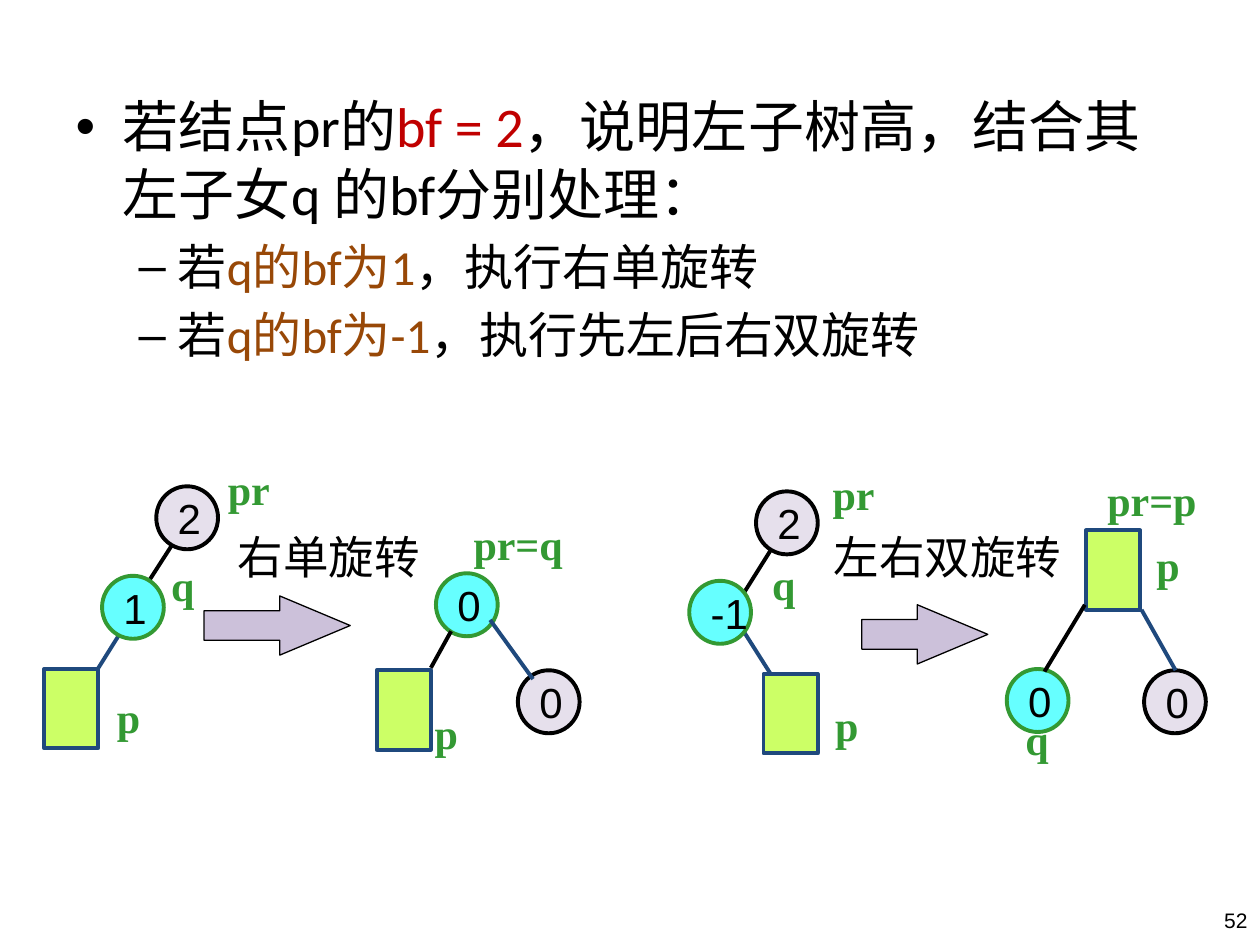
from pptx import Presentation
from pptx.dml.color import RGBColor
from pptx.enum.shapes import MSO_CONNECTOR, MSO_SHAPE
from pptx.enum.text import MSO_ANCHOR, PP_ALIGN
from pptx.oxml.ns import qn
from pptx.util import Inches, Pt
from lxml import etree

BLACK = RGBColor(0x00, 0x00, 0x00)
RED = RGBColor(0xC0, 0x00, 0x00)
BROWN = RGBColor(0x98, 0x48, 0x07)
NAVY = RGBColor(0x1F, 0x49, 0x7D)
GREEN = RGBColor(0x33, 0x99, 0x33)
CYAN = RGBColor(0x66, 0xFF, 0xFF)
LIME = RGBColor(0xCC, 0xFF, 0x66)
LAVENDER = RGBColor(0xE6, 0xE0, 0xEC)
PURPLE = RGBColor(0xCC, 0xC1, 0xDA)

prs = Presentation()
prs.slide_width, prs.slide_height = Inches(10), Inches(7.5)
s = prs.slides.add_slide(prs.slide_layouts[1])
title = s.shapes.title
title.element.getparent().remove(title.element)


def add_shape(kind, x, y, w, h, fill, line, weight=2.25):
    sp = s.shapes.add_shape(kind, Inches(x), Inches(y), Inches(w), Inches(h))
    sp.shadow.inherit = False
    sp.fill.solid()
    sp.fill.fore_color.rgb = fill
    sp.line.color.rgb = line
    sp.line.width = Pt(weight)
    return sp


def set_text(sp, text, size, font, color, bold=False, align=PP_ALIGN.LEFT):
    tf = sp.text_frame
    tf.word_wrap = False
    p = tf.paragraphs[0]
    p.text = text
    p.alignment = align
    p.font.size = Pt(size)
    p.font.name = font
    p.font.bold = bold
    p.font.color.rgb = color


body = s.placeholders[1]
body.left, body.top = Inches(0.5), Inches(0.68)
body.width, body.height = Inches(9), Inches(6.82)
tf = body.text_frame
paragraphs = [
    (0, 32, RED, ["若结点pr的", "bf = 2", "，说明左子树高，结合其左子女q 的bf分别处理："]),
    (1, 28, BROWN, ["若", "q的bf为1", "，执行右单旋转"]),
    (1, 28, BROWN, ["若", "q的bf为-1", "，执行先左后右双旋转"]),
]
for i, (level, size, accent, parts) in enumerate(paragraphs):
    p = tf.paragraphs[0] if i == 0 else tf.add_paragraph()
    p.level = level
    p.font.size = Pt(size)
    p.font.name = "Calibri"
    for part, color in zip(parts, (BLACK, accent, BLACK)):
        r = p.add_run()
        r.text = part
        r.font.color.rgb = color

number = s.shapes.add_textbox(Inches(9.57), Inches(7.1), Inches(0.43), Inches(0.4))
set_text(number, "52", 12, "Arial", BLACK, align=PP_ALIGN.RIGHT)
number.text_frame.word_wrap = True
number.text_frame.vertical_anchor = MSO_ANCHOR.MIDDLE

trees = [
    {
        "edges": [(1.02, 4.92, 0.65, 5.51, NAVY), (1.44, 4.21, 1.06, 4.8, BLACK)],
        "nodes": [("2", 1.24, 3.86), ("1", 0.81, 4.57)],
        "box": (0.35, 5.31),
        "labels": [("q", 1.26, 4.39), ("pr", 1.71, 3.63), ("p", 0.83, 5.44)],
        "edges_on_top": False,
    },
    {
        "edges": [(5.87, 4.96, 6.25, 5.56, NAVY), (6.19, 4.25, 5.82, 4.84, BLACK)],
        "nodes": [("2", 6, 3.9), ("-1", 5.47, 4.61)],
        "box": (6.06, 5.35),
        "labels": [("q", 6.03, 4.38), ("pr", 6.51, 3.67), ("p", 6.53, 5.5)],
        "edges_on_top": False,
    },
    {
        "edges": [(8.61, 4.8, 8.29, 5.33, BLACK), (9.06, 4.84, 9.33, 5.32, NAVY)],
        "nodes": [("0", 9.08, 5.32), ("0", 7.99, 5.31)],
        "box": (8.62, 4.21),
        "labels": [("p", 9.08, 4.23), ("q", 8.04, 5.61), ("pr=p", 8.69, 3.72)],
        "edges_on_top": True,
    },
    {
        "edges": [(3.58, 5.01, 3.42, 5.3, BLACK), (3.89, 4.92, 4.23, 5.39, NAVY)],
        "nodes": [("0", 4.11, 5.32), ("0", 3.46, 4.55)],
        "box": (2.99, 5.32),
        "labels": [("p", 3.35, 5.57), ("pr=q", 3.66, 4.07)],
        "edges_on_top": True,
    },
]
label_widths = {1: 0.39, 2: 0.53, 4: 0.92}
node_colors = [(LAVENDER, BLACK), (CYAN, GREEN)]

for tree in trees:
    layers = ["edges", "nodes"]
    if tree["edges_on_top"]:
        layers.reverse()
    for layer in layers:
        if layer == "edges":
            for x1, y1, x2, y2, color in tree["edges"]:
                edge = s.shapes.add_connector(
                    MSO_CONNECTOR.STRAIGHT,
                    Inches(x1), Inches(y1), Inches(x2), Inches(y2))
                edge.line.color.rgb = color
                edge.line.width = Pt(2.25)
                etree.SubElement(edge.element.spPr, qn("a:effectLst"))
        else:
            for (text, x, y), (fill, line) in zip(tree["nodes"], node_colors):
                node = add_shape(MSO_SHAPE.OVAL, x, y, 0.49, 0.5, fill, line)
                set_text(node, text, 24, "Arial", BLACK)
                node.text_frame.vertical_anchor = MSO_ANCHOR.MIDDLE
            add_shape(MSO_SHAPE.RECTANGLE, *tree["box"], 0.43, 0.63, LIME, NAVY)
    for text, x, y in tree["labels"]:
        label = s.shapes.add_textbox(
            Inches(x), Inches(y), Inches(label_widths[len(text)]), Inches(0.5))
        set_text(label, text, 24, "Times New Roman", GREEN, bold=True)

rotations = [
    ("右单旋转", 1.79, 1.65, 1.62, 4.73, 1.16),
    ("左右双旋转", 6.52, 2.01, 6.84, 4.8, 1),
]
for text, x, w, arrow_x, arrow_y, arrow_w in rotations:
    caption = s.shapes.add_textbox(Inches(x), Inches(4.15), Inches(w), Inches(0.53))
    set_text(caption, text, 26, "Arial", BLACK)
    arrow = add_shape(MSO_SHAPE.RIGHT_ARROW, arrow_x, arrow_y, arrow_w, 0.47,
                      PURPLE, BLACK, 0.75)
    arrow.adjustments[1] = 1.19

prs.save("out.pptx")
